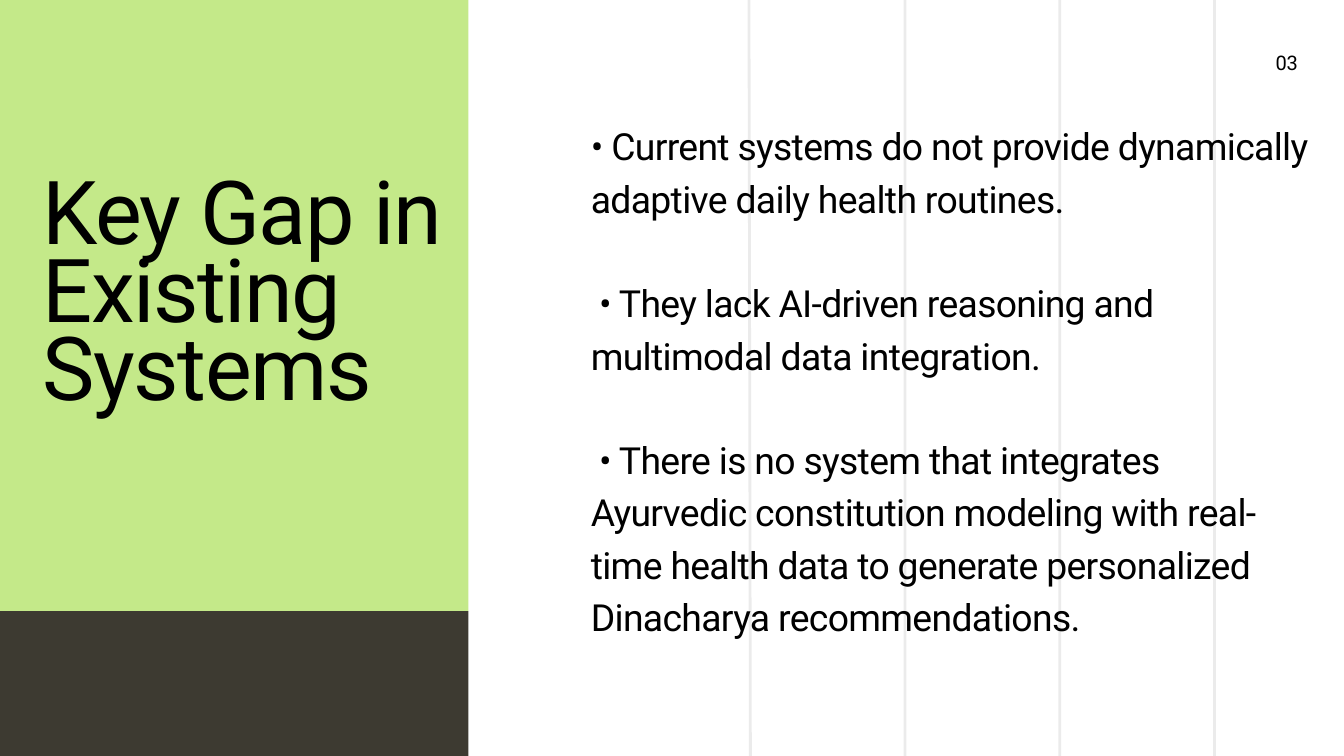
import pptx
import pptx.dml.color
import pptx.enum.shapes
import pptx.enum.text
import pptx.oxml
import pptx.oxml.ns
import pptx.util

PX = 9525  # EMU per px, 96 px to the inch
WIDTH, HEIGHT = 1920, 1080
PANEL_W, PANEL_SPLIT = 669, 873

FONT = "Roboto"
BLACK = pptx.dml.color.RGBColor(0x00, 0x00, 0x00)
GREEN = pptx.dml.color.RGBColor(0xC4, 0xE9, 0x89)
DARK = pptx.dml.color.RGBColor(0x3D, 0x3A, 0x31)

LEFT = pptx.enum.text.PP_ALIGN.LEFT
RIGHT = pptx.enum.text.PP_ALIGN.RIGHT

GAPS = [
    "• Current systems do not provide dynamically adaptive daily health routines.",
    "• They lack AI-driven reasoning and multimodal data integration.",
    "• There is no system that integrates Ayurvedic constitution modeling with "
    "real-time health data to generate personalized Dinacharya recommendations.",
]


def px(*values):
    return [pptx.util.Emu(v * PX) for v in values]


def add_panel(slide, box, color):
    kind = pptx.enum.shapes.MSO_SHAPE.RECTANGLE
    sp = slide.shapes.add_shape(kind, *px(*box))
    sp.shadow.inherit = False
    sp.fill.solid()
    sp.fill.fore_color.rgb = color
    sp.line.fill.background()


def add_guide(slide, x_bottom, x_top):
    """Add a faint vertical line over the full height."""
    kind = pptx.enum.shapes.MSO_CONNECTOR.STRAIGHT
    line = slide.shapes.add_connector(kind, *px(x_bottom, HEIGHT, x_top, 0))
    line.line.width = pptx.util.Pt(3)
    line.line.color.rgb = BLACK
    spPr = line._element.spPr
    color = spPr.find(".//" + pptx.oxml.ns.qn("a:srgbClr"))
    alpha = pptx.oxml.parse_xml(
        f'<a:alpha {pptx.oxml.ns.nsdecls("a")} val="8000"/>')
    color.append(alpha)
    spPr.append(pptx.oxml.parse_xml(
        f'<a:effectLst {pptx.oxml.ns.nsdecls("a")}/>'))


def add_text(slide, box, texts, size, leading, spacing, align=LEFT,
             gap=0, indent=0):
    """Add paragraphs; gap (pt) and indent (px) apply after the first."""
    tf = slide.shapes.add_textbox(*px(*box)).text_frame
    tf.word_wrap = True
    tf.margin_left = tf.margin_right = tf.margin_top = tf.margin_bottom = 0
    for i, text in enumerate(texts):
        p = tf.add_paragraph() if i else tf.paragraphs[0]
        r = p.add_run()
        r.text = text
        r._r.get_or_add_rPr().set("spc", str(spacing))
        p.alignment = align
        p.line_spacing = pptx.util.Pt(leading)
        if i:
            p.space_before = pptx.util.Pt(gap)
            p._p.get_or_add_pPr().set("indent", str(indent * PX))
        p.font.name = FONT
        p.font.size = pptx.util.Pt(size)
        p.font.color.rgb = BLACK


def main():
    prs = pptx.Presentation()
    prs.slide_width, prs.slide_height = px(WIDTH, HEIGHT)
    slide = prs.slides.add_slide(prs.slide_layouts[6])

    # Left panel
    add_panel(slide, (0, 0, PANEL_W, PANEL_SPLIT), GREEN)

    # Guide lines, the first one slightly slanted
    for i in range(4):
        x = 1072 + 221 * i
        add_guide(slide, x, x if i else x - 2)

    # Page number
    add_text(slide, (1618, 81, 236, 27), ["03"], 21.5, 18.9, -40, RIGHT)

    # Dark footer of the panel
    add_panel(slide, (0, PANEL_SPLIT, PANEL_W, HEIGHT - PANEL_SPLIT), DARK)

    # Title and list of gaps
    add_text(slide, (61, 264, 627, 343), ["Key Gap in Existing Systems"],
             94.5, 83.2, -170)
    add_text(slide, (844, 166, 1033, 738), GAPS, 40, 56, -70,
             gap=56, indent=12)

    prs.save("out.pptx")


if __name__ == "__main__":
    main()
